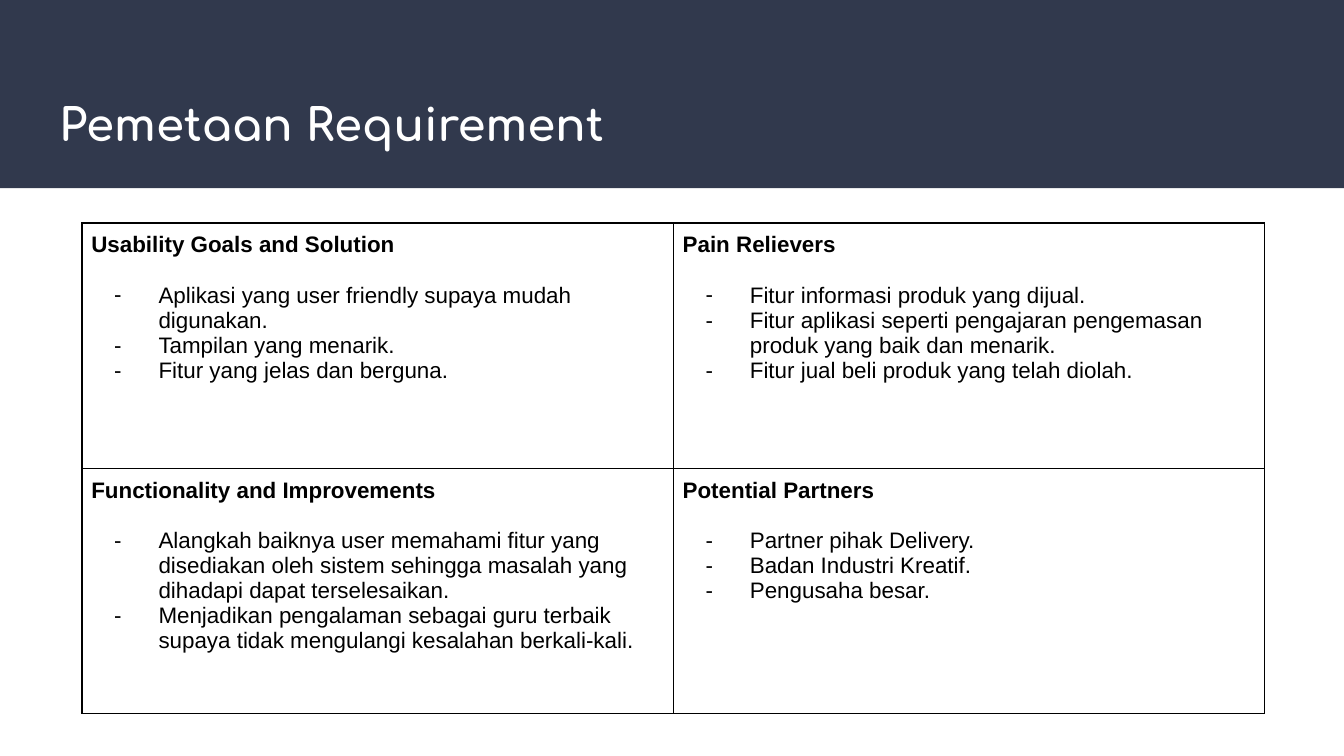
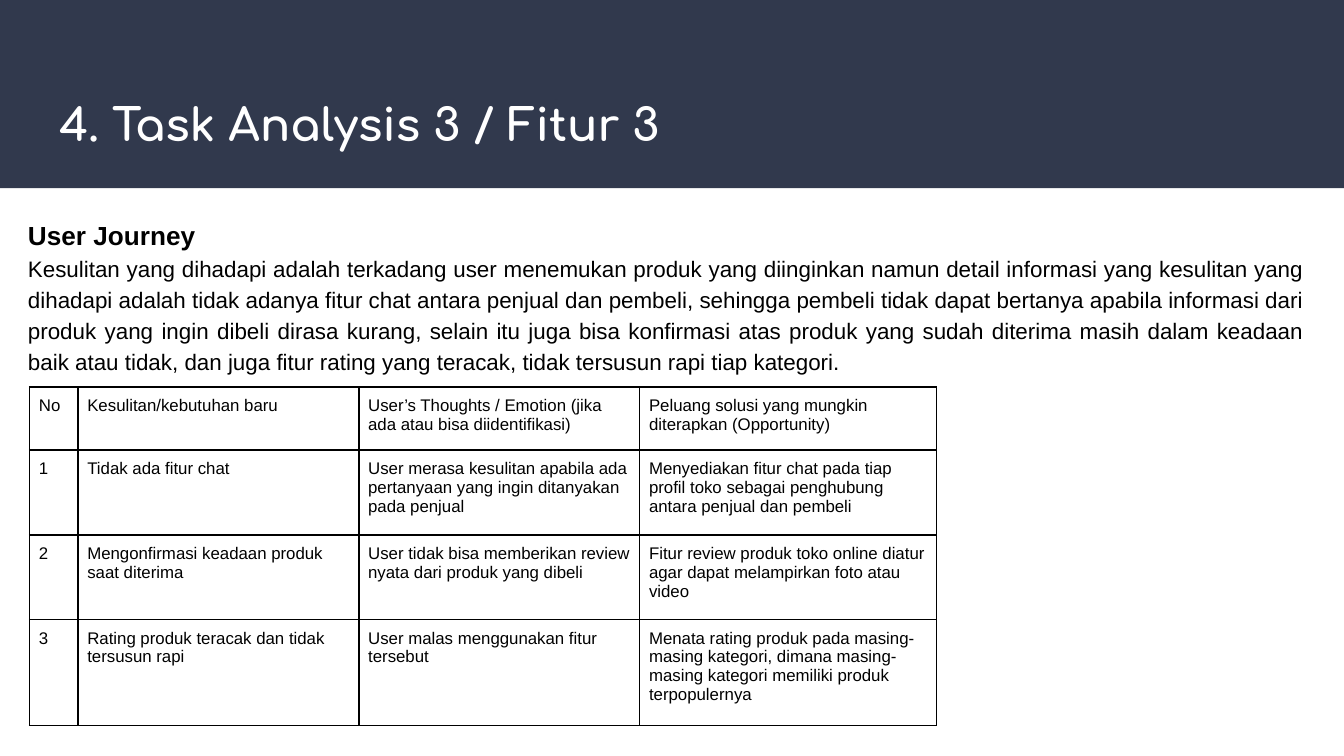
import pptx
import pptx.dml.color
import pptx.enum.shapes
import pptx.enum.text
import pptx.oxml
import pptx.oxml.ns
import pptx.util
from pptx.util import Inches

NAVY = "31394D"
WHITE = "FFFFFF"
BLACK = "000000"
BODY_FONT = "Arial"
TITLE_FONT = "Comfortaa"
LINE_SPACING = 1.15
TITLE_ONLY = 5

PAGE_WIDTH = 10
PAGE_HEIGHT = PAGE_WIDTH * 9 / 16
BAND = (0, 0, PAGE_WIDTH, 1.4)
TITLE = (0.34, 0.55, 9.32, 0.68)

REQUIREMENTS = [
    [
        ("Usability Goals and Solution", [
            "Aplikasi yang user friendly supaya mudah digunakan.",
            "Tampilan yang menarik.",
            "Fitur yang jelas dan berguna.",
        ]),
        ("Pain Relievers", [
            "Fitur informasi produk yang dijual.",
            "Fitur aplikasi seperti pengajaran pengemasan produk yang baik dan menarik.",
            "Fitur jual beli produk yang telah diolah.",
        ]),
    ],
    [
        ("Functionality and Improvements", [
            "Alangkah baiknya user memahami fitur yang disediakan oleh sistem "
            "sehingga masalah yang dihadapi dapat terselesaikan.",
            "Menjadikan pengalaman sebagai guru terbaik supaya tidak mengulangi "
            "kesalahan berkali-kali.",
        ]),
        ("Potential Partners", [
            "Partner pihak Delivery.",
            "Badan Industri Kreatif.",
            "Pengusaha besar.",
        ]),
    ],
]

JOURNEY_HEADING = "User Journey"
JOURNEY_TEXT = (
    "Kesulitan yang dihadapi adalah terkadang user menemukan produk yang diinginkan "
    "namun detail informasi yang kesulitan yang dihadapi adalah tidak adanya fitur chat "
    "antara penjual dan pembeli, sehingga pembeli tidak dapat bertanya apabila informasi "
    "dari produk yang ingin dibeli dirasa kurang, selain itu juga bisa konfirmasi atas "
    "produk yang sudah diterima masih dalam keadaan baik atau tidak, dan juga fitur "
    "rating yang teracak, tidak tersusun rapi tiap kategori."
)
JOURNEY_ROWS = [
    ["No", "Kesulitan/kebutuhan baru",
     "User’s Thoughts / Emotion (jika ada atau bisa diidentifikasi)",
     "Peluang solusi yang mungkin diterapkan (Opportunity)"],
    ["1", "Tidak ada fitur chat",
     "User merasa kesulitan apabila ada pertanyaan yang ingin ditanyakan pada penjual",
     "Menyediakan fitur chat pada tiap profil toko sebagai penghubung antara penjual dan pembeli"],
    ["2", "Mengonfirmasi keadaan produk saat diterima",
     "User tidak bisa memberikan review nyata dari produk yang dibeli",
     "Fitur review produk toko online diatur agar dapat melampirkan foto atau video"],
    ["3", "Rating produk teracak dan tidak tersusun rapi",
     "User malas menggunakan fitur tersebut",
     "Menata rating produk pada masing-masing kategori, dimana masing-masing kategori "
     "memiliki produk terpopulernya"],
]


def rgb(color):
    return pptx.dml.color.RGBColor.from_string(color)


def format_runs(paragraph, size, bold=False, color=BLACK, font=BODY_FONT):
    for run in paragraph.runs:
        run.font.name = font
        run.font.size = pptx.util.Pt(size)
        run.font.bold = bold
        run.font.color.rgb = rgb(color)


def set_insets(holder, inset):
    for side in ("left", "top", "right", "bottom"):
        setattr(holder, f"margin_{side}", Inches(inset))


def add_dash(paragraph, size):
    properties = paragraph._p.get_or_add_pPr()
    properties.set("marL", str(Inches(0.5)))
    properties.set("indent", str(-Inches(0.33)))
    nsdecls = pptx.oxml.ns.nsdecls("a")
    for part in (
        f'<a:buClr {nsdecls}><a:srgbClr val="{BLACK}"/></a:buClr>',
        f'<a:buSzPts {nsdecls} val="{size * 100}"/>',
        f'<a:buFont {nsdecls} typeface="{BODY_FONT}"/>',
        f'<a:buChar {nsdecls} char="-"/>',
    ):
        properties.append(pptx.oxml.parse_xml(part))


def draw_borders(cell):
    properties = cell._tc.get_or_add_tcPr()
    for position, side in enumerate("LRTB"):
        properties.insert(position, pptx.oxml.parse_xml(
            f'<a:ln{side} {pptx.oxml.ns.nsdecls("a")} w="{pptx.util.Pt(1)}">'
            f'<a:solidFill><a:srgbClr val="{BLACK}"/></a:solidFill></a:ln{side}>'))


def add_grid(slide, left, top, widths, heights):
    grid = slide.shapes.add_table(
        len(heights), len(widths), Inches(left), Inches(top),
        Inches(sum(widths)), Inches(sum(heights))).table
    grid.first_row = False
    grid.horz_banding = False
    for column, width in zip(grid.columns, widths):
        column.width = Inches(width)
    for row, height in zip(grid.rows, heights):
        row.height = Inches(height)
    for cell in grid.iter_cells():
        set_insets(cell, 0.07)
        cell.fill.background()
        draw_borders(cell)
    return grid


def add_titled_slide(deck, heading):
    slide = deck.slides.add_slide(deck.slide_layouts[TITLE_ONLY])
    slide.background.fill.solid()
    slide.background.fill.fore_color.rgb = rgb(WHITE)

    band = slide.shapes.add_shape(
        pptx.enum.shapes.MSO_SHAPE.RECTANGLE, *map(Inches, BAND))
    band.shadow.inherit = False
    band.fill.solid()
    band.fill.fore_color.rgb = rgb(NAVY)
    band.line.fill.background()
    slide.shapes._spTree.insert(2, band._element)

    title = slide.shapes.title
    title.left, title.top, title.width, title.height = map(Inches, TITLE)
    frame = title.text_frame
    frame.text = heading
    frame.word_wrap = True
    frame.auto_size = pptx.enum.text.MSO_AUTO_SIZE.NONE
    frame.vertical_anchor = pptx.enum.text.MSO_ANCHOR.MIDDLE
    set_insets(frame, 0.1)
    line = frame.paragraphs[0]
    line.alignment = pptx.enum.text.PP_ALIGN.LEFT
    line.line_spacing = LINE_SPACING
    format_runs(line, 24, True, WHITE, TITLE_FONT)
    return slide


def add_requirement_map(slide, left, top, width, height):
    grid = add_grid(slide, left, top, [width / 2] * 2, [height / 2] * 2)
    for r, row in enumerate(REQUIREMENTS):
        for c, (heading, points) in enumerate(row):
            frame = grid.cell(r, c).text_frame
            frame.text = "\n".join([heading, *points])
            first, *rest = frame.paragraphs
            first.space_after = pptx.util.Pt(13.5)
            format_runs(first, 12, True)
            for point in rest:
                add_dash(point, 12)
                format_runs(point, 12)


def add_journey_intro(slide, left, top, width, height):
    intro = slide.shapes.add_textbox(*map(Inches, (left, top, width, height)))
    frame = intro.text_frame
    frame.word_wrap = True
    set_insets(frame, 0.1)
    frame.text = "\n".join([JOURNEY_HEADING, JOURNEY_TEXT])
    heading, story = frame.paragraphs
    heading.line_spacing = story.line_spacing = LINE_SPACING
    story.alignment = pptx.enum.text.PP_ALIGN.JUSTIFY
    format_runs(heading, 14, True)
    format_runs(story, 12)


def add_journey_table(slide, left, top):
    grid = add_grid(slide, left, top, [0.36, 2.09, 2.09, 2.21],
                    [0.47, 0.63, 0.63, 0.79])
    for r, row in enumerate(JOURNEY_ROWS):
        for c, text in enumerate(row):
            frame = grid.cell(r, c).text_frame
            frame.text = text
            format_runs(frame.paragraphs[0], 9)


def main():
    deck = pptx.Presentation()
    deck.slide_width = Inches(PAGE_WIDTH)
    deck.slide_height = Inches(PAGE_HEIGHT)

    mapping = add_titled_slide(deck, "Pemetaan Requirement")
    add_requirement_map(mapping, 0.61, 1.66, 8.8, 3.65)

    journey = add_titled_slide(deck, "4. Task Analysis 3 / Fitur 3")
    add_journey_intro(journey, 0.11, 1.5, 9.7, 1.37)
    add_journey_table(journey, 0.22, 2.88)

    deck.save("out.pptx")


if __name__ == "__main__":
    main()
